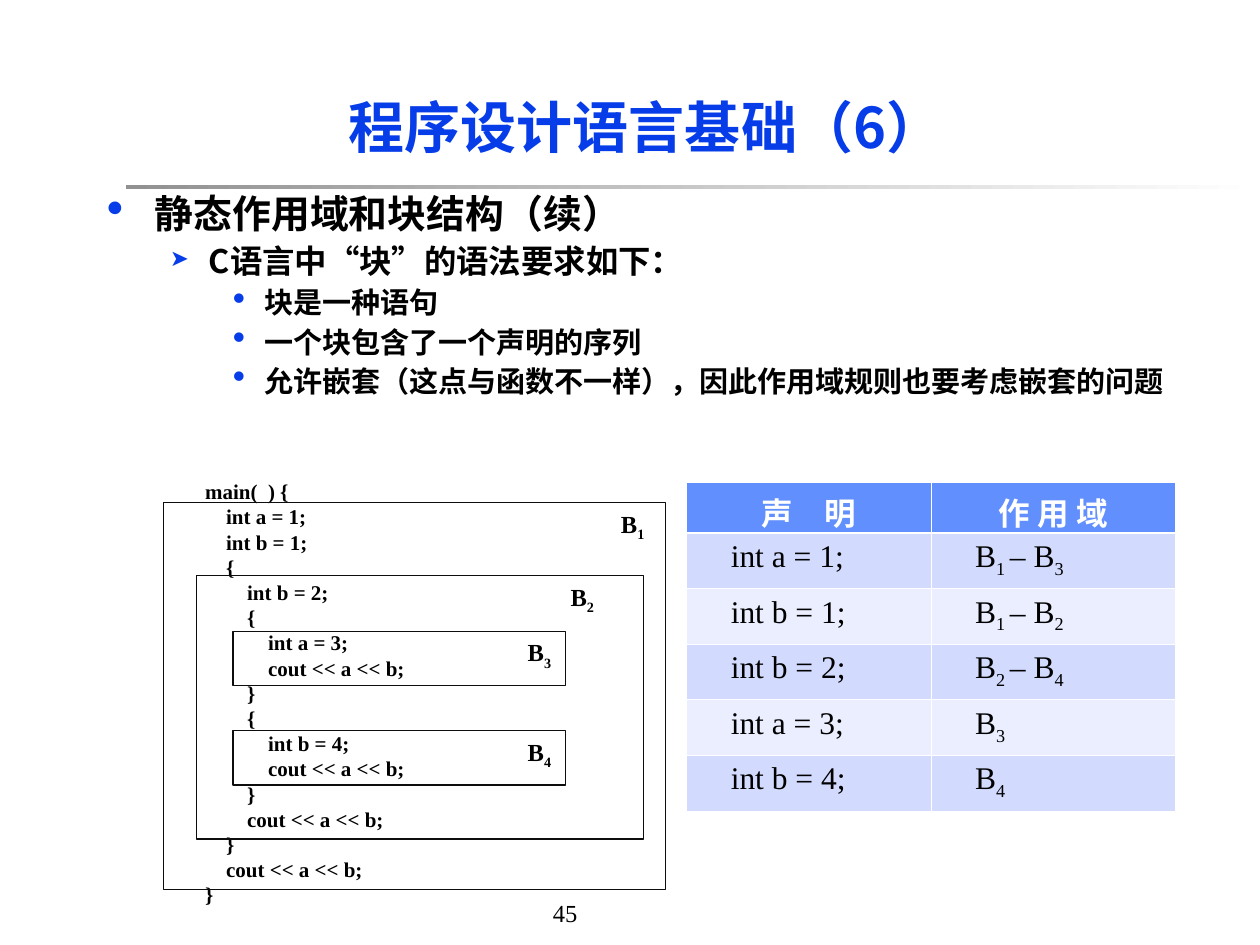
from lxml import etree
from pptx import Presentation
from pptx.dml.color import RGBColor
from pptx.enum.shapes import MSO_SHAPE
from pptx.enum.text import MSO_ANCHOR, PP_ALIGN
from pptx.oxml.ns import qn
from pptx.util import Inches, Pt

RECTANGLE = MSO_SHAPE.RECTANGLE
TOP, MIDDLE = MSO_ANCHOR.TOP, MSO_ANCHOR.MIDDLE
LEFT, CENTER = PP_ALIGN.LEFT, PP_ALIGN.CENTER
SANS, SERIF = "Noto Sans CJK SC", "Times New Roman"
COLORS = {
    "blue": "063DE8", "black": "000000", "white": "FFFFFF", "outline": "0D0D0D",
    "rule": "919191", "header": "618FFD", "odd": "D2DBFE", "even": "EAEEFF",
}


def color(name):
    return RGBColor.from_string(COLORS[name])


def write(para, pieces, size, font=SERIF, ink="black", bold=False, indent=0, align=LEFT):
    """Add runs to a paragraph; every second piece is a subscript."""
    para.alignment = align
    para._p.get_or_add_pPr().set("marL", str(Inches(indent)))
    for index, piece in enumerate(pieces):
        span = para.add_run()
        span.text = piece
        span.font.size, span.font.bold, span.font.name = Pt(size), bold, font
        span.font.color.rgb = color(ink)
        properties = span._r.get_or_add_rPr()
        etree.SubElement(properties, qn("a:ea")).set("typeface", SANS)
        if index % 2:
            properties.set("baseline", "-25000")


deck = Presentation()
deck.slide_width, deck.slide_height = Inches(10), Inches(7.5)
page = deck.slides.add_slide(deck.slide_layouts[6])

# Page number
box = page.shapes.add_textbox(Inches(4.29), Inches(7.08), Inches(1.02), Inches(0.33))
write(box.text_frame.paragraphs[0], ["45"], 14)

# Fading rule below the title
rule = page.shapes.add_shape(RECTANGLE, Inches(1), Inches(1.47), Inches(9), Inches(0.03))
rule.shadow.inherit = False
rule.line.fill.background()
rule.fill.gradient()
rule.fill.gradient_angle = 0
for stop, name in zip(rule.fill.gradient_stops, ("rule", "white")):
    stop.color.rgb = color(name)

# Title
box = page.shapes.add_textbox(Inches(1), Inches(0.5), Inches(8.25), Inches(1))
box.text_frame.word_wrap = True
box.text_frame.vertical_anchor = MIDDLE
write(box.text_frame.paragraphs[0], ["程序设计语言基础（6）"], 32, SANS, "blue", True, align=CENTER)

# Bulleted outline: size, space before, indent, hanging, bullet, bullet size in percent
LEVELS = [
    (22.2, 6, 0.38, 0.38, "•", 125),
    (18.5, 5, 0.81, 0.31, "➤", 70),
    (16.6, 4.5, 1.25, 0.25, "•", 125),
]
OUTLINE = [
    (0, "静态作用域和块结构（续）"),
    (1, "C语言中“块”的语法要求如下："),
    (2, "块是一种语句"),
    (2, "一个块包含了一个声明的序列"),
    (2, "允许嵌套（这点与函数不一样），因此作用域规则也要考虑嵌套的问题"),
]
box = page.shapes.add_textbox(Inches(0.75), Inches(1.5), Inches(8.58), Inches(2.25))
frame = box.text_frame
frame.word_wrap = True
for index, (level, text) in enumerate(OUTLINE):
    size, before, indent, hanging, bullet, percent = LEVELS[level]
    para = frame.add_paragraph() if index else frame.paragraphs[0]
    write(para, [text], size, SANS, bold=True, indent=indent)
    para.level = level
    para.line_spacing, para.space_before = 0.9, Pt(before)
    properties = para._p.pPr
    properties.set("indent", str(-Inches(hanging)))
    bullet_color = etree.SubElement(properties, qn("a:buClr"))
    etree.SubElement(bullet_color, qn("a:srgbClr")).set("val", COLORS["blue"])
    etree.SubElement(properties, qn("a:buSzPct")).set("val", str(percent * 1000))
    etree.SubElement(properties, qn("a:buChar")).set("char", bullet)

# Table of declarations and scopes
ROWS = [
    (["声　明"], ["作 用 域"]),
    (["int a = 1;"], ["B", "1 ", "– B", "3"]),
    (["int b = 1;"], ["B", "1 ", "– B", "2"]),
    (["int b = 2;"], ["B", "2 ", "– B", "4"]),
    (["int a = 3;"], ["B", "3"]),
    (["int b = 4;"], ["B", "4"]),
]
table = page.shapes.add_table(
    len(ROWS), 2, Inches(5.45), Inches(3.83), Inches(3.88), Inches(2.6)).table
for column in table.columns:
    column.width = Inches(1.94)
for r, row in enumerate(ROWS):
    table.rows[r].height = Inches(0.44 if r else 0.4)
    for c, pieces in enumerate(row):
        cell = table.cell(r, c)
        para = cell.text_frame.paragraphs[0]
        if r == 0:
            write(para, pieces, 18, ink="white", bold=True, align=CENTER)
        else:
            write(para, pieces, 18, indent=0.25)
        for side in ("L", "R", "T", "B"):
            thick = (r, side) in ((0, "B"), (1, "T"))
            border = etree.SubElement(cell._tc.get_or_add_tcPr(), qn("a:ln" + side))
            border.set("w", str(Pt(1.47 if thick else 0.45)))
            solid = etree.SubElement(border, qn("a:solidFill"))
            etree.SubElement(solid, qn("a:srgbClr")).set("val", COLORS["white"])
        cell.fill.solid()
        cell.fill.fore_color.rgb = color("header" if r == 0 else "odd" if r % 2 else "even")

# Program text: nesting depth and line
CODE = [
    (0, "main(  ) {"), (1, "int a = 1;"), (1, "int b = 1;"), (1, "{"),
    (2, "int b = 2;"), (2, "{"), (3, "int a = 3;"), (3, "cout << a << b;"), (2, "}"),
    (2, "{"), (3, "int b = 4;"), (3, "cout << a << b;"), (2, "}"),
    (2, "cout << a << b;"), (1, "}"), (1, "cout << a << b;"), (0, "}"),
]
box = page.shapes.add_textbox(Inches(1.53), Inches(3.75), Inches(3.62), Inches(3.5))
frame = box.text_frame
frame.word_wrap = True
for index, (depth, text) in enumerate(CODE):
    para = frame.add_paragraph() if index else frame.paragraphs[0]
    write(para, [text], 12, bold=True, indent=depth / 6)
    para.line_spacing = Pt(14.4)

# Nested block outlines: left, top, width, height, label indent
BLOCKS = [
    (1.3, 3.99, 3.98, 3.07, 3.53),
    (1.56, 4.57, 3.55, 2.09, 2.87),
    (1.85, 5.01, 2.64, 0.43, 2.24),
    (1.85, 5.8, 2.64, 0.43, 2.24),
]
for number, (left, top, width, height, indent) in enumerate(BLOCKS, 1):
    block = page.shapes.add_shape(
        RECTANGLE, Inches(left), Inches(top), Inches(width), Inches(height))
    block.shadow.inherit = False
    block.fill.background()
    block.line.color.rgb = color("outline")
    block.line.width = Pt(0.75)
    block.text_frame.vertical_anchor = TOP
    write(block.text_frame.paragraphs[0], ["B", str(number)], 14, bold=True, indent=indent)

deck.save("out.pptx")
